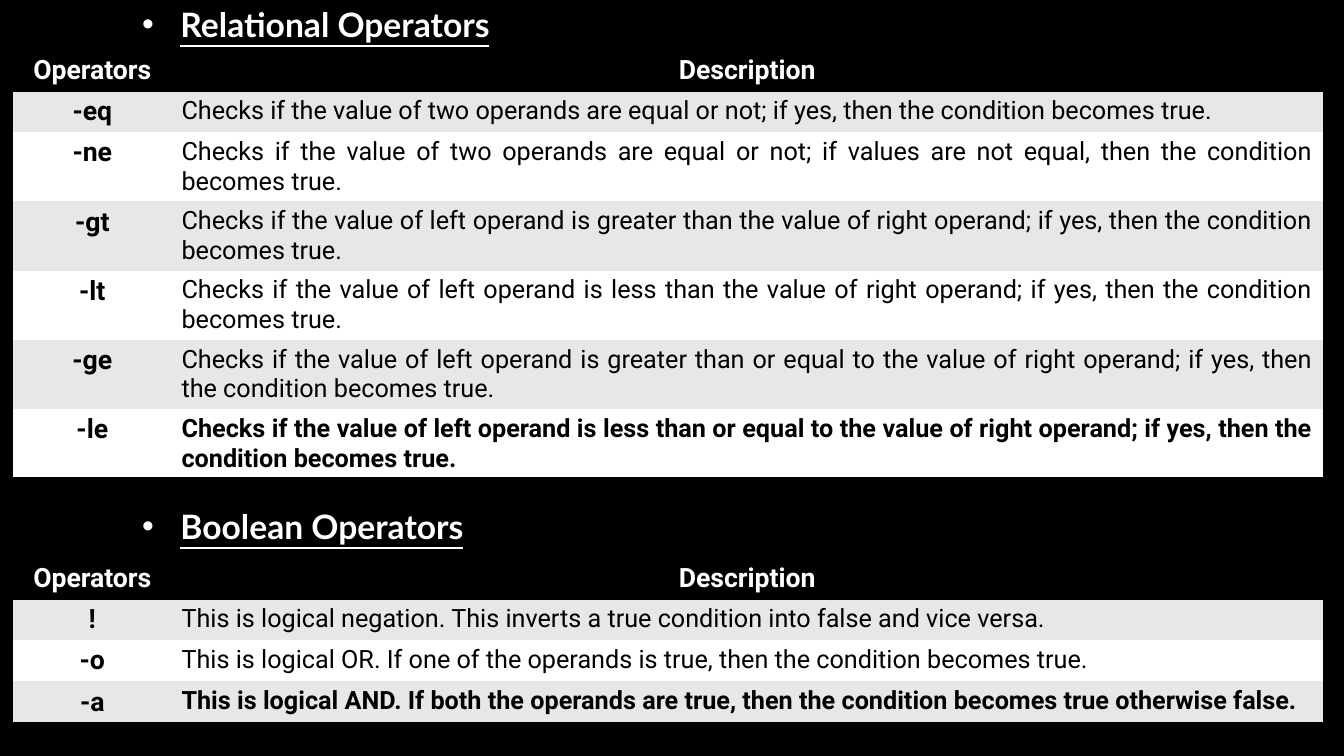
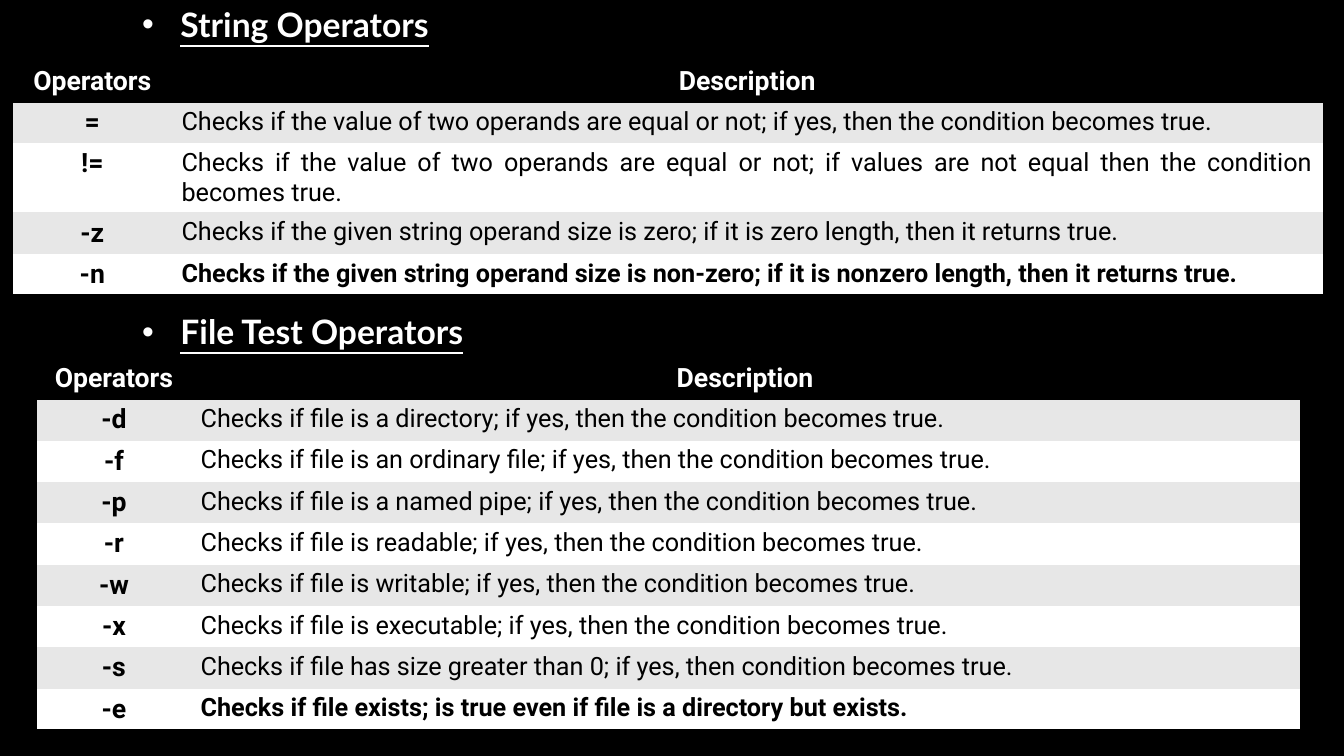
from lxml.etree import SubElement
from pptx import Presentation
from pptx.dml.color import RGBColor
from pptx.enum.text import MSO_ANCHOR, MSO_AUTO_SIZE, PP_ALIGN
from pptx.oxml import parse_xml
from pptx.oxml.ns import nsdecls, qn
from pptx.util import Inches, Pt

# Shared look
HUES = {"back": "000000", "head": "FFFFFF", "text": "000000",
        "band": "E7E7E7", "plain": "FFFFFF"}
TITLE = {"name": "Lato", "size": Pt(24), "bold": True, "underline": True}
LABEL = {"name": "Roboto", "size": Pt(19), "bold": True}
BODY = {"name": "Roboto", "size": Pt(18), "bold": False}
LAST = {**BODY, "bold": True}
BARE = "{2D5ABB26-0587-4C30-8999-92F81FD0307C}"

# Grid: 100 columns by 100 rows
WIDE, HIGH = Inches(13.33), Inches(7.5)
COL, ROW = WIDE / 100, HIGH / 100
LINE, PAIR = 5.47, 9.1  # heights of one-line and two-line rows
LONG = 105  # longest text that fits on one line
FULL = (0.98, 11.78, 85.67)  # left edge and column widths
SLIM = (2.78, 11.4, 82.52)

# Each slide: heading row, heading, table row, table columns, entries
DECK = [
    [
        (0, "Relational Operators", 6.53, FULL, [
            ("-eq", "Checks if the value of two operands are equal or not; if yes, then the condition becomes true."),
            ("-ne", "Checks if the value of two operands are equal or not; if values are not equal, then the condition becomes true."),
            ("-gt", "Checks if the value of left operand is greater than the value of right operand; if yes, then the condition becomes true."),
            ("-lt", "Checks if the value of left operand is less than the value of right operand; if yes, then the condition becomes true."),
            ("-ge", "Checks if the value of left operand is greater than or equal to the value of right operand; if yes, then the condition becomes true."),
            ("-le", "Checks if the value of left operand is less than or equal to the value of right operand; if yes, then the condition becomes true."),
        ]),
        (66.4, "Boolean Operators", 73.73, FULL, [
            ("!", "This is logical negation. This inverts a true condition into false and vice versa."),
            ("-o", "This is logical OR. If one of the operands is true, then the condition becomes true."),
            ("-a", "This is logical AND. If both the operands are true, then the condition becomes true otherwise false."),
        ]),
    ],
    [
        (0, "String Operators", 8, FULL, [
            ("=", "Checks if the value of two operands are equal or not; if yes, then the condition becomes true."),
            ("!=", "Checks if the value of two operands are equal or not; if values are not equal then the condition becomes true."),
            ("-z", "Checks if the given string operand size is zero; if it is zero length, then it returns true."),
            ("-n", "Checks if the given string operand size is non-zero; if it is nonzero length, then it returns true."),
        ]),
        (40.67, "File Test Operators", 47.33, SLIM, [
            ("-d", "Checks if file is a directory; if yes, then the condition becomes true."),
            ("-f", "Checks if file is an ordinary file; if yes, then the condition becomes true."),
            ("-p", "Checks if file is a named pipe; if yes, then the condition becomes true."),
            ("-r", "Checks if file is readable; if yes, then the condition becomes true."),
            ("-w", "Checks if file is writable; if yes, then the condition becomes true."),
            ("-x", "Checks if file is executable; if yes, then the condition becomes true."),
            ("-s", "Checks if file has size greater than 0; if yes, then condition becomes true."),
            ("-e", "Checks if file exists; is true even if file is a directory but exists."),
        ]),
    ],
]


def write(frame, text, look, hue, align):
    """Put one formatted paragraph in a text frame and return it."""
    para = frame.paragraphs[0]
    para.alignment = align
    run = para.add_run()
    run.text = text
    for key, value in look.items():
        setattr(run.font, key, value)
    run.font.color.rgb = RGBColor.from_string(HUES[hue])
    return para


def rule(cell, side):
    """Draw a 2 pt border on one side ("T" or "B") of a cell."""
    cell._tc.get_or_add_tcPr().insert(0, parse_xml(
        f'<a:ln{side} {nsdecls("a")} w="25400"><a:solidFill>'
        f'<a:srgbClr val="{HUES["back"]}"/></a:solidFill></a:ln{side}>'))


deck = Presentation()
deck.slide_width, deck.slide_height = WIDE, HIGH
fill = deck.slide_master.background.fill
fill.solid()
fill.fore_color.rgb = RGBColor.from_string(HUES["back"])

for parts in DECK:
    slide = deck.slides.add_slide(deck.slide_layouts[1])
    for holder, part in zip(list(slide.placeholders), parts):
        top, title, start, (left, *wide), items = part

        # Bulleted heading
        holder.left, holder.top = int(9.83 * COL), int(top * ROW)
        holder.width, holder.height = int(75 * COL), int(6.53 * ROW)
        frame = holder.text_frame
        frame.auto_size = MSO_AUTO_SIZE.NONE
        frame.vertical_anchor = MSO_ANCHOR.BOTTOM
        para = write(frame, title, TITLE, "head", PP_ALIGN.LEFT)
        para.line_spacing, para.space_before = 0.9, Pt(0)
        props = para._p.get_or_add_pPr()
        props.set("marL", str(Inches(0.38)))
        props.set("indent", str(-Inches(0.38)))
        SubElement(props, qn("a:buFont"), typeface="Arial")
        SubElement(props, qn("a:buChar"), char="•")

        # Operator table
        rows = [("Operators", "Description"), *items]
        tall = [PAIR if len(text) > LONG else LINE for _, text in rows]
        grid = slide.shapes.add_table(
            len(rows), 2, int(left * COL), int(start * ROW),
            int(sum(wide) * COL), int(sum(tall) * ROW)).table
        grid._tbl.tblPr[0].text = BARE
        grid.horz_banding = False
        for column, width in zip(grid.columns, wide):
            column.width = int(width * COL)

        for r, texts in enumerate(rows):
            grid.rows[r].height = int(tall[r] * ROW)
            head, last = r == 0, r == len(rows) - 1
            back = "back" if head else "band" if r % 2 else "plain"
            for c, text in enumerate(texts):
                cell = grid.cell(r, c)
                cell.fill.solid()
                cell.fill.fore_color.rgb = RGBColor.from_string(HUES[back])
                side = c == 1 and not head
                look = LABEL if not side else LAST if last else BODY
                write(cell.text_frame, text, look, "head" if head else "text",
                      PP_ALIGN.JUSTIFY if side else PP_ALIGN.CENTER)
                if head or last:
                    rule(cell, "B")
                if head:
                    rule(cell, "T")

deck.save("out.pptx")
